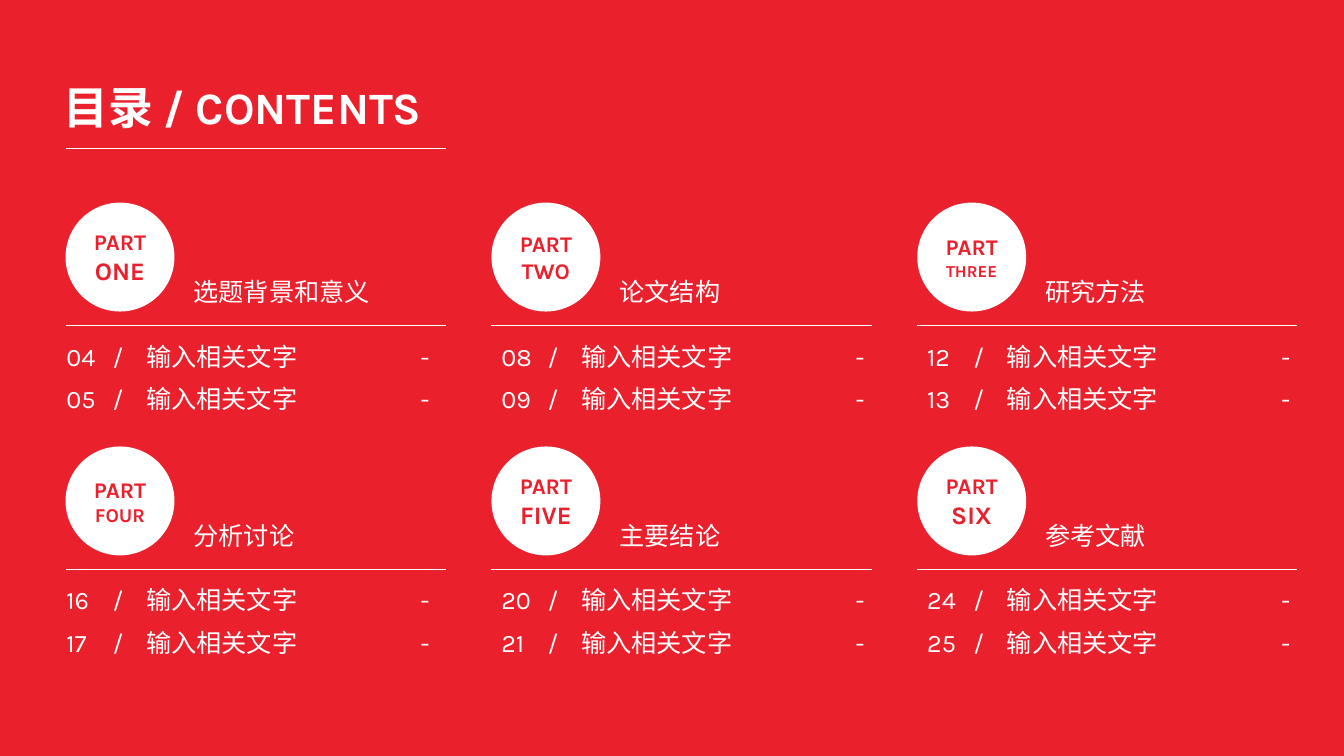
from dataclasses import dataclass

from lxml import etree
from pptx import Presentation
from pptx.dml.color import RGBColor
from pptx.enum import shapes, text
from pptx.oxml.ns import qn
from pptx.util import Pt


@dataclass(frozen=True)
class Theme:
    red: RGBColor = RGBColor(0xEA, 0x20, 0x2D)
    white: RGBColor = RGBColor(0xFF, 0xFF, 0xFF)
    font: str = "Karla"
    title: int = 32
    body: int = 18
    badge: int = 16
    rule: float = 0.5


THEME = Theme()

# Grid
LEFT, TOP = 46.8, 144.7
COLUMN_PITCH, ROW_PITCH = 304.2, 174.2
RULE_WIDTH, BADGE_SIZE = 271.6, 77.8
ENTRY_SHIFTS = (-6.5, 0, 0)
ENTRY_PITCH = 30.2
ENTRY_TABS = (33, 57, 253)  # slash, wording, dash

# Part number, size of the number, heading, first page
PARTS = [
    ("ONE", 18, "选题背景和意义", 4),
    ("TWO", 16, "论文结构", 8),
    ("THREE", 12, "研究方法", 12),
    ("FOUR", 14, "分析讨论", 16),
    ("FIVE", 18, "主要结论", 20),
    ("SIX", 18, "参考文献", 24),
]


def set_font(p, size, color, bold=False):
    p.font.name = THEME.font
    p.font.size = Pt(size)
    p.font.bold = bold
    p.font.color.rgb = color


def set_tabs(p, stops):
    pPr = p._p.get_or_add_pPr()
    tabs = etree.Element(qn("a:tabLst"))
    for stop in stops:
        etree.SubElement(tabs, qn("a:tab"), pos=str(Pt(stop)), algn="l")
    pPr.insert(0, tabs)


def add_title(slide, words):
    sp = slide.shapes.title
    sp.left, sp.top, sp.width, sp.height = Pt(38.2), Pt(53.3), Pt(280), Pt(46)
    tf = sp.text_frame
    tf.text = words
    tf.word_wrap = False
    tf.auto_size = text.MSO_AUTO_SIZE.NONE
    tf.vertical_anchor = text.MSO_ANCHOR.TOP
    p = tf.paragraphs[0]
    p.alignment = text.PP_ALIGN.LEFT
    set_font(p, THEME.title, THEME.white, bold=True)


def add_rule(slide, x, y):
    line = slide.shapes.add_connector(
        shapes.MSO_CONNECTOR.STRAIGHT, Pt(x), Pt(y), Pt(x + RULE_WIDTH), Pt(y))
    line.line.color.rgb = THEME.white
    line.line.width = Pt(THEME.rule)
    etree.SubElement(line._element.spPr, qn("a:effectLst"))


def add_text(slide, x, y, width, words, wrap=False):
    sp = slide.shapes.add_textbox(Pt(x), Pt(y), Pt(width), Pt(29))
    tf = sp.text_frame
    tf.word_wrap = wrap
    p = tf.paragraphs[0]
    p.text = words
    set_font(p, THEME.body, THEME.white)
    return p


def add_badge(slide, x, y, number, size):
    sp = slide.shapes.add_shape(
        shapes.MSO_SHAPE.OVAL, Pt(x), Pt(y), Pt(BADGE_SIZE), Pt(BADGE_SIZE))
    sp.shadow.inherit = False
    sp.fill.solid()
    sp.fill.fore_color.rgb = THEME.white
    sp.line.fill.background()
    tf = sp.text_frame
    tf.word_wrap = True
    tf.vertical_anchor = text.MSO_ANCHOR.MIDDLE
    p = tf.paragraphs[0]
    p.alignment = text.PP_ALIGN.CENTER
    set_font(p, THEME.badge, THEME.red, bold=True)
    p.add_run().text = "PART "
    r = p.add_run()
    r.text = number
    r.font.size = Pt(size)


def add_part(slide, index, number, size, heading, first_page):
    row, column = divmod(index, len(ENTRY_SHIFTS))
    x, y = LEFT + column * COLUMN_PITCH, TOP + row * ROW_PITCH
    add_badge(slide, x, y, number, size)
    add_rule(slide, x, y + 87.8)
    add_text(slide, x + 84.4, y + 49, 14.4 + THEME.body * len(heading), heading)
    for i in range(2):
        p = add_text(slide, x + ENTRY_SHIFTS[column], y + 95.2 + i * ENTRY_PITCH,
                     278, f"{first_page + i:02d}\t/\t输入相关文字\t-", wrap=True)
        set_tabs(p, ENTRY_TABS)


def main():
    prs = Presentation()
    prs.slide_width, prs.slide_height = Pt(960), Pt(540)
    slide = prs.slides.add_slide(prs.slide_layouts[5])
    slide.background.fill.solid()
    slide.background.fill.fore_color.rgb = THEME.red

    # Heading
    add_title(slide, "目录 / CONTENTS")
    add_rule(slide, LEFT, 105.8)

    # Six parts
    for index, part in enumerate(PARTS):
        add_part(slide, index, *part)

    prs.save("out.pptx")


if __name__ == "__main__":
    main()
